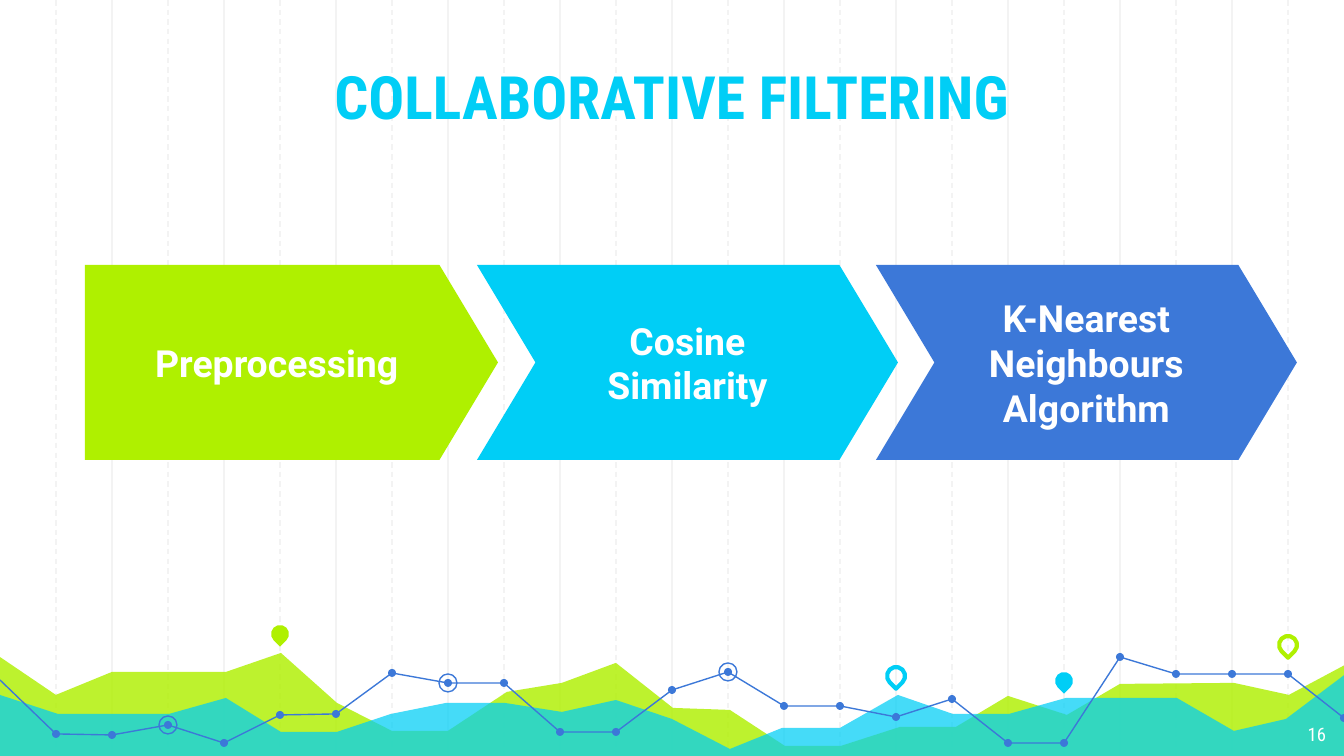
"""Build the collaborative filtering slide: three process arrows above a decorative trend chart."""
from lxml.etree import SubElement
from pptx import Presentation
from pptx.dml.color import RGBColor
from pptx.enum.dml import MSO_LINE_DASH_STYLE as Dash
from pptx.enum.shapes import MSO_CONNECTOR as Connector, MSO_SHAPE as Shape
from pptx.enum.text import MSO_ANCHOR as Anchor, MSO_AUTO_SIZE as AutoSize, PP_ALIGN as Align
from pptx.oxml.ns import qn
from pptx.util import Emu, Pt

WIDTH, HEIGHT = 1344, 756
SCALE = 9144000 / WIDTH
STEP = 56
DOT, MARK, INSET = 8, 18, 13
GREEN = RGBColor(0xAF, 0xF0, 0x00)
CYAN = RGBColor(0x00, 0xCE, 0xF6)
BLUE = RGBColor(0x3C, 0x78, 0xD8)
GRID = RGBColor(0xF3, 0xF3, 0xF3)
WHITE = RGBColor(0xFF, 0xFF, 0xFF)


def paint(shape, fill=None, line=None, weight=0.75):
    """Give a shape a plain fill and line, without shadow."""
    shape.shadow.inherit = False
    if fill is None:
        shape.fill.background()
    else:
        shape.fill.solid()
        shape.fill.fore_color.rgb = fill
    if line is None:
        shape.line.fill.background()
    else:
        shape.line.color.rgb = line
        shape.line.width = Pt(weight)


def write(box, text, font, size, color, bold, align, anchor):
    """Set and format the single paragraph of a shape."""
    frame = box.text_frame
    frame.text = text
    frame.word_wrap = True
    frame.auto_size = AutoSize.NONE
    frame.vertical_anchor = anchor
    frame.margin_left = frame.margin_right = Emu(round(INSET * SCALE))
    frame.margin_top = frame.margin_bottom = Emu(round(INSET * SCALE))
    para = frame.paragraphs[0]
    para.alignment = align
    span = para.runs[0]
    span.font.name = font
    span.font.size = Pt(size)
    span.font.bold = bold
    span.font.color.rgb = color


deck = Presentation()
deck.slide_width = Emu(round(WIDTH * SCALE))
deck.slide_height = Emu(round(HEIGHT * SCALE))
page = deck.slides.add_slide(deck.slide_layouts[5])
shapes = page.shapes

for first, dash in ((2, None), (1, Dash.DASH)):
    for column in range(first, 24, 2):
        x = round(column * STEP * SCALE)
        rule = shapes.add_connector(Connector.STRAIGHT, x, 0, x, round(759 * SCALE))
        rule.line.color.rgb = GRID
        rule.line.width = Pt(0.75)
        if dash:
            rule.line.dash_style = dash
        SubElement(rule.element.spPr, qn("a:effectLst"))

green_area = [
    (-3, 655), (56, 695), (112, 672), (226, 672), (281, 653), (337, 703), (392, 731),
    (448, 731), (507, 692), (562, 683), (616, 663), (673, 708), (730, 710), (785, 746),
    (841, 746), (900, 727), (956, 727), (1008, 696), (1067, 715), (1120, 684),
    (1234, 683), (1289, 695), (1347, 664), (1345, 758), (-4, 758),
]
cyan_area = [
    (-3, 694), (58, 714), (169, 714), (226, 698), (281, 732), (337, 732), (391, 714),
    (446, 703), (505, 703), (562, 712), (616, 700), (672, 719), (730, 749), (782, 728),
    (840, 728), (898, 695), (953, 714), (1009, 714), (1066, 698), (1177, 698),
    (1234, 731), (1286, 719), (1347, 673), (1347, 759), (-4, 759),
]
for points, color, opacity in ((green_area, GREEN, 82), (cyan_area, CYAN, 73)):
    builder = shapes.build_freeform(*points[0], scale=SCALE)
    builder.add_line_segments(points[1:], close=True)
    area = builder.convert_to_shape()
    paint(area, color)
    tint = area.element.spPr.find(qn("a:solidFill"))[0]
    SubElement(tint, qn("a:alpha"), val=str(opacity * 1000))

trend_heights = [
    680, 734, 735, 725, 743, 715, 714, 673, 683, 683, 732, 732, 690,
    672, 706, 706, 717, 699, 743, 743, 657, 674, 674, 674, 718,
]
trend = [(column * STEP, y) for column, y in enumerate(trend_heights)]
for start, end in ((0, 11), (11, 20), (20, 24)):
    builder = shapes.build_freeform(*trend[start], scale=SCALE)
    builder.add_line_segments(trend[start + 1:end + 1], close=False)
    paint(builder.convert_to_shape(), line=BLUE)

marks = [(Shape.OVAL, x, y, DOT, BLUE, None, 0) for x, y in trend[1:]]
marks += [(Shape.OVAL, *trend[column], MARK, None, BLUE, 0.75) for column in (3, 8, 13)]
marks += [
    (Shape.TEAR, 280, 634, MARK, GREEN, None, 0),
    (Shape.TEAR, 896, 676, MARK, None, CYAN, 2.25),
    (Shape.TEAR, 1064, 681, MARK, CYAN, None, 0),
    (Shape.TEAR, 1288, 645, MARK, None, GREEN, 2.25),
]
for kind, x, y, size, fill, line, weight in marks:
    left, top, side = (round(v * SCALE) for v in (x - size / 2, y - size / 2, size))
    mark = shapes.add_shape(kind, left, top, side, side)
    paint(mark, fill, line, weight)
    if kind == Shape.TEAR:
        mark.rotation = 135

stages = [
    ("Preprocessing", Shape.PENTAGON, 85, 413, GREEN),
    ("Cosine Similarity", Shape.CHEVRON, 477, 421, CYAN),
    ("K-Nearest Neighbours Algorithm", Shape.CHEVRON, 876, 421, BLUE),
]
for label, kind, x, width, color in stages:
    stage = shapes.add_shape(kind, *(round(v * SCALE) for v in (x, 265, width, 195)))
    stage.adjustments[0] = 0.3
    paint(stage, color)
    write(stage, label, "Roboto", 20, WHITE, True, Align.CENTER, Anchor.MIDDLE)

number = shapes.add_textbox(*(round(v * SCALE) for v in (1258, 710, 81, 47)))
write(number, "16", "Roboto Condensed", 10, WHITE, False, Align.RIGHT, Anchor.TOP)

title = shapes.title
title.left, title.top, title.width, title.height = (
    Emu(round(v * SCALE)) for v in (0, 40, WIDTH, 105)
)
write(title, "COLLABORATIVE FILTERING", "Roboto Condensed", 32, CYAN, True,
      Align.CENTER, Anchor.BOTTOM)
title.element.getparent().append(title.element)

deck.save("out.pptx")
